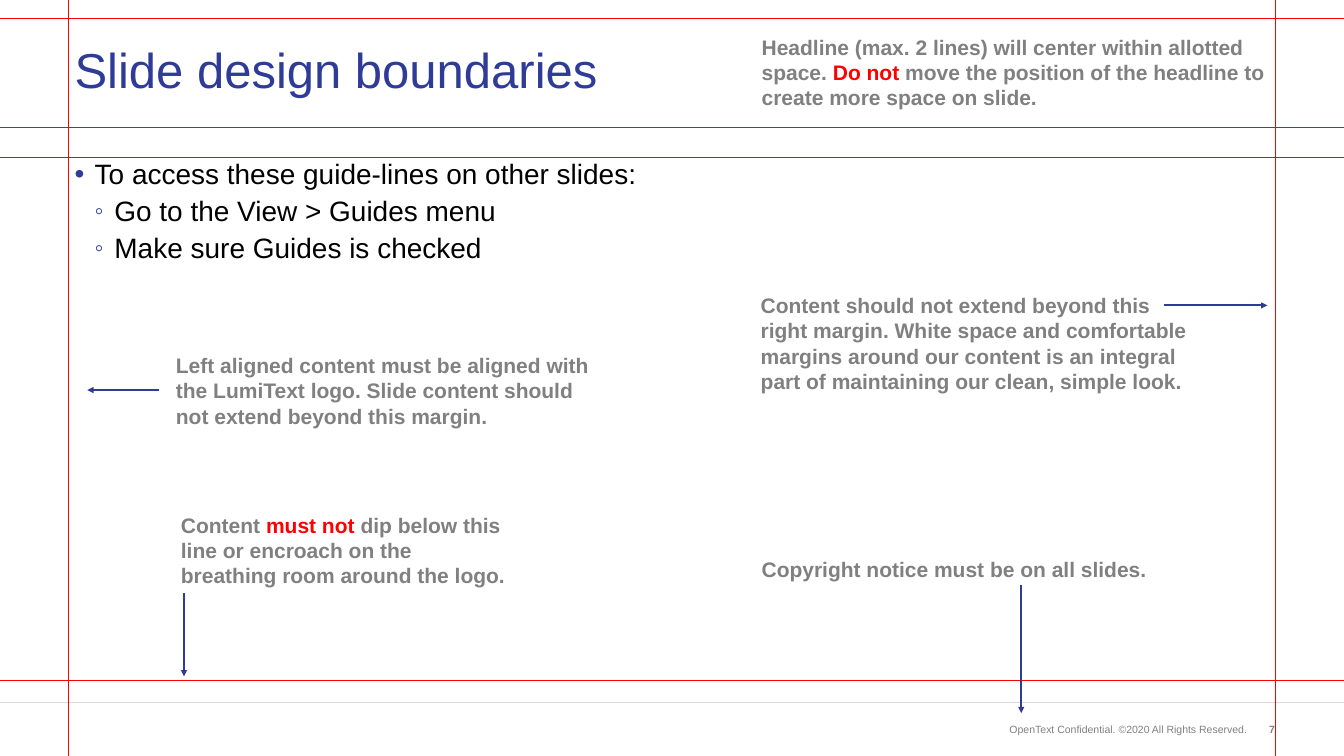
import pptx
import pptx.dml.color
import pptx.enum.shapes
import pptx.enum.text
import pptx.oxml
import pptx.oxml.ns
import pptx.util
from lxml import etree

THEME = {
    "font": "Arial",
    "navy": "2E3C98", "red": "FF0000", "grey": "808080",
    "black": "000000", "pale": "D9D9D9",
    "title": 70, "body": 40, "note": 30, "footer": 15,
    "thin": 1, "thick": 3,
}
WIDTH, HEIGHT = 26.66, 15

# All positions are percentages of the slide's width and height.
TITLE = ("Slide design boundaries", (5.18, 2.53, 89.68, 14.13))
BODY_AREA = (5.18, 20.87, 89.68, 69.07)
BODY = [
    (0, "To access these guide-lines on other slides:"),
    (1, "Go to the View > Guides menu"),
    (1, "Make sure Guides is checked"),
]
LEVELS = [  # inches for indents, points for space before
    {"margin": 0.4, "hanging": 0.4, "before": 20, "bullet": "•", "size": 100},
    {"margin": 0.79, "hanging": 0.39, "before": 10, "bullet": "◦", "size": 90},
]
NOTES = [  # area, then (text, colour) runs
    ((56.3, 4.2, 38.82, 10.8), [
        ("Headline (max. 2 lines) will center within allotted space. ", "grey"),
        ("Do not ", "red"),
        ("move the position of the headline to create more space on slide.", "grey")]),
    ((12.72, 46.33, 33.08, 10.8), [
        ("Left aligned content must be aligned with the LumiText logo. "
         "Slide content should not extend beyond this margin.", "grey")]),
    ((56.23, 38.4, 33.08, 14.13), [
        ("Content should not extend beyond this right margin. White space and "
         "comfortable margins around our content is an integral part of "
         "maintaining our clean, simple look.", "grey")]),
    ((13.09, 67.47, 25.09, 10.8), [
        ("Content ", "grey"), ("must not ", "red"),
        ("dip below this line or encroach on the breathing room around the logo.",
         "grey")]),
    ((56.3, 73.33, 29.52, 4.07), [
        ("Copyright notice must be on all slides.", "grey")]),
]
COPYRIGHT = ("OpenText Confidential. ©2020 All Rights Reserved.",
             (73.03, 95.33, 20.14, 2.33))
PAGE_NUMBER = ("7", (92.57, 95.33, 2.66, 2.33))
GUIDE_ROWS = [2.47, 16.87, 20.87, 89.93]
GUIDE_COLUMNS = [5.1, 94.9]
ROW_SPAN = (0, 100.83)
COLUMN_SPAN = (106.2, -2.47)
FOOTER_RULE = 92.93
ARROWS = [  # start, end
    ((11.82, 51.6), (6.49, 51.6)),
    ((13.69, 78.47), (13.69, 89.47)),
    ((75.99, 77.33), (75.99, 94.33)),
    ((86.57, 40.4), (94.3, 40.4)),
]


def across(share):
    return pptx.util.Inches(WIDTH * share / 100)


def down(share):
    return pptx.util.Inches(HEIGHT * share / 100)


def colour(name):
    return pptx.dml.color.RGBColor.from_string(THEME[name])


def set_attributes(target, values):
    for name, value in values.items():
        setattr(target, name, value)


def add_box(slide, area, anchor="TOP"):
    left, top, width, height = area
    shape = slide.shapes.add_textbox(
        across(left), down(top), across(width), down(height))
    frame = shape.text_frame
    set_attributes(frame, {
        "word_wrap": True,
        "vertical_anchor": getattr(pptx.enum.text.MSO_ANCHOR, anchor)})
    return frame


def add_run(paragraph, text, size, shade, bold=False):
    run = paragraph.add_run()
    run.text = text
    set_attributes(run.font, {
        "name": THEME["font"], "size": pptx.util.Pt(THEME[size]), "bold": bold})
    run.font.color.rgb = colour(shade)


def add_bullet(paragraph, level):
    properties = paragraph._p.get_or_add_pPr()
    properties.set("marL", str(pptx.util.Inches(level["margin"])))
    properties.set("indent", str(-pptx.util.Inches(level["hanging"])))
    name = pptx.oxml.ns.qn
    shade = etree.SubElement(properties, name("a:buClr"))
    etree.SubElement(shade, name("a:srgbClr"), val=THEME["navy"])
    etree.SubElement(properties, name("a:buSzPct"), val=str(level["size"] * 1000))
    etree.SubElement(properties, name("a:buFont"), typeface=THEME["font"])
    etree.SubElement(properties, name("a:buChar"), char=level["bullet"])


def add_line(slide, start, end, shade, weight, arrow=False):
    connector = slide.shapes.add_connector(
        pptx.enum.shapes.MSO_CONNECTOR.STRAIGHT,
        across(start[0]), down(start[1]), across(end[0]), down(end[1]))
    connector.line.color.rgb = colour(shade)
    connector.line.width = pptx.util.Pt(THEME[weight])
    name = pptx.oxml.ns.qn
    if arrow:
        etree.SubElement(connector.line._get_or_add_ln(), name("a:tailEnd"),
                         type="triangle")
    etree.SubElement(connector._element.spPr, name("a:effectLst"))


def add_footer(slide):
    add_line(slide, (0, FOOTER_RULE), (100, FOOTER_RULE), "pale", "thin")
    for (text, area), anchor, bold in [(COPYRIGHT, "MIDDLE", False),
                                       (PAGE_NUMBER, "TOP", True)]:
        paragraph = add_box(slide, area, anchor).paragraphs[0]
        paragraph.alignment = pptx.enum.text.PP_ALIGN.RIGHT
        add_run(paragraph, text, "footer", "grey", bold)


def add_title(slide):
    text, area = TITLE
    paragraph = add_box(slide, area, "MIDDLE").paragraphs[0]
    paragraph.line_spacing = 0.9
    add_run(paragraph, text, "title", "navy")


def add_body(slide):
    frame = add_box(slide, BODY_AREA)
    for index, (depth, text) in enumerate(BODY):
        paragraph = frame.add_paragraph() if index else frame.paragraphs[0]
        level = LEVELS[depth]
        add_bullet(paragraph, level)
        set_attributes(paragraph, {
            "level": depth, "line_spacing": 0.9,
            "space_before": pptx.util.Pt(level["before"] if index else 0)})
        add_run(paragraph, text, "body", "black")


def add_guides(slide):
    for row in GUIDE_ROWS:
        add_line(slide, (ROW_SPAN[0], row), (ROW_SPAN[1], row), "red", "thin")
    for column in GUIDE_COLUMNS:
        add_line(slide, (column, COLUMN_SPAN[0]), (column, COLUMN_SPAN[1]),
                 "red", "thin")


def add_notes(slide):
    for area, runs in NOTES:
        paragraph = add_box(slide, area).paragraphs[0]
        for text, shade in runs:
            add_run(paragraph, text, "note", shade, bold=True)


def main():
    presentation = pptx.Presentation()
    set_attributes(presentation, {"slide_width": pptx.util.Inches(WIDTH),
                                  "slide_height": pptx.util.Inches(HEIGHT)})
    slide = presentation.slides.add_slide(presentation.slide_layouts[6])
    add_footer(slide)
    add_title(slide)
    add_body(slide)
    add_guides(slide)
    add_notes(slide)
    for start, end in ARROWS:
        add_line(slide, start, end, "navy", "thick", arrow=True)
    presentation.save("out.pptx")


if __name__ == "__main__":
    main()
